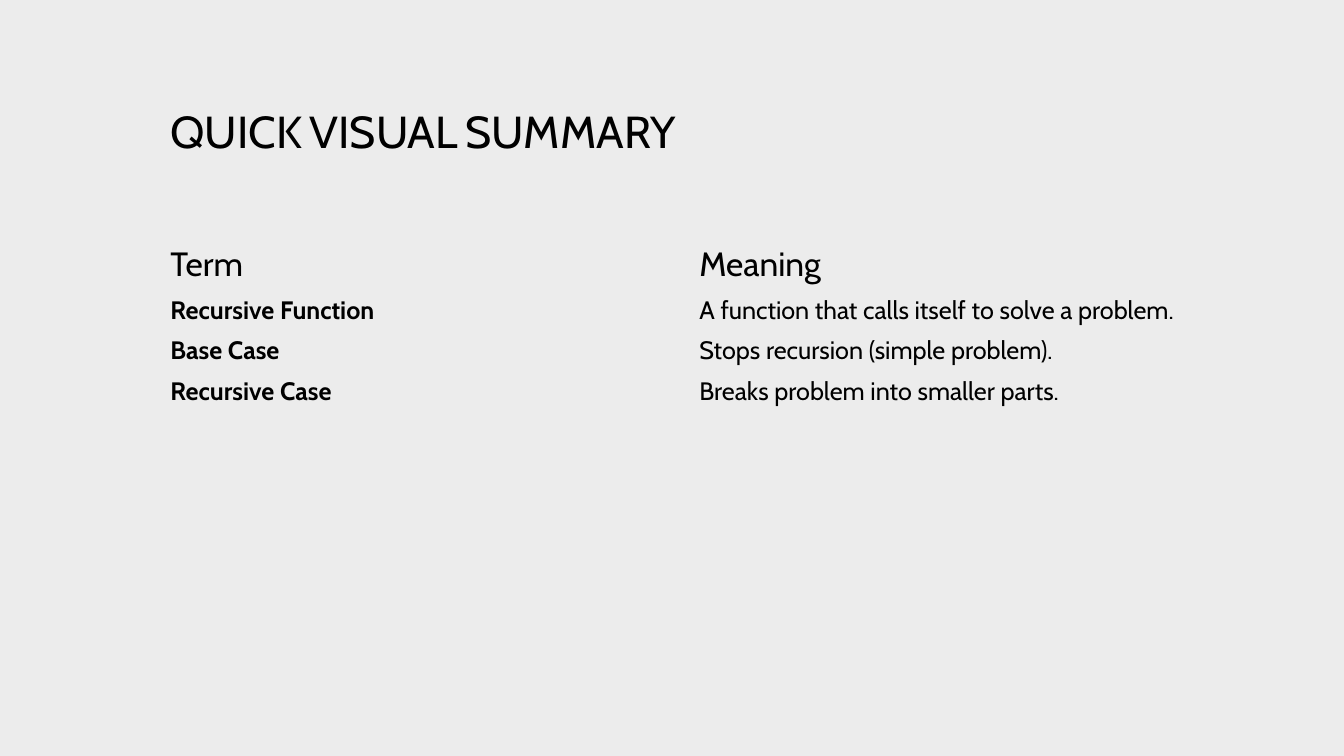
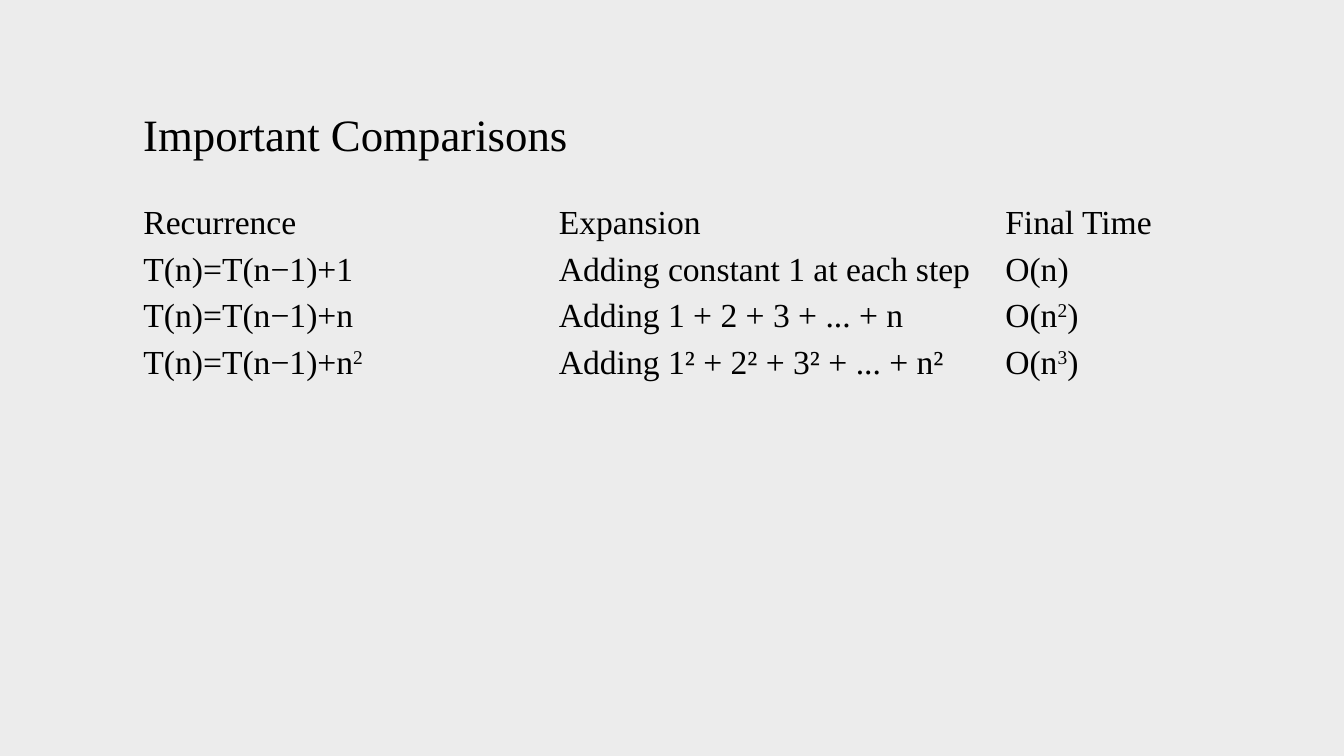
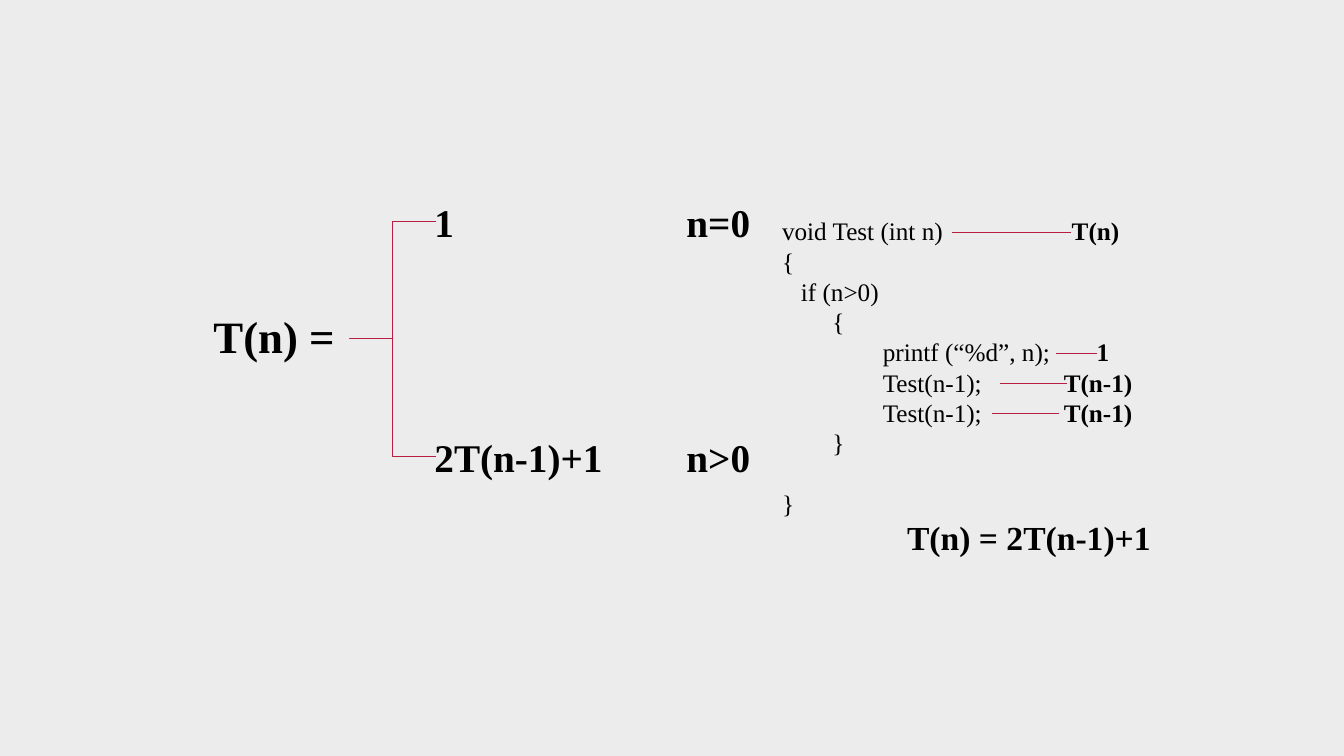
"""Build three slides on recursion: a glossary, a comparison table and a traced function."""
from dataclasses import dataclass

from lxml import etree
from pptx import Presentation
from pptx import util as u
from pptx.dml.color import RGBColor
from pptx.enum import shapes, text
from pptx.oxml.ns import qn


@dataclass(frozen=True)
class Theme:
    paper: RGBColor = RGBColor(0xEC, 0xEC, 0xEC)
    ink: RGBColor = RGBColor(0, 0, 0)
    accent: RGBColor = RGBColor(0xB7, 0x1E, 0x42)
    sans: str = "Cabin"
    serif: str = "Times New Roman"
    title: int = 32
    formula: int = 28
    heading: int = 24
    body: int = 18
    rule: float = 0.75


theme = Theme()


def write(para, spans, face, size, bold=False):
    for words, changes in spans:
        span = para.add_run()
        span.text = words
        span.font.name = face
        span.font.size = u.Pt(changes.get("size", size))
        span.font.bold = changes.get("bold", bold)
        span.font.color.rgb = theme.ink
        if "raised" in changes:
            span._r.get_or_add_rPr().set("baseline", "30000")


def add_box(page, left, top, width, height):
    frame = page.shapes.add_textbox(u.Cm(left), u.Cm(top), u.Cm(width), u.Cm(height)).text_frame
    frame.word_wrap = True
    return frame


deck = Presentation()
deck.slide_width, deck.slide_height = u.Cm(33.87), u.Cm(19.05)
backdrop = deck.slide_master.background.fill
backdrop.solid()
backdrop.fore_color.rgb = theme.paper

gap = (" ", {"size": theme.heading, "bold": True})
square = ("2", {"raised": True})
cube = ("3", {"raised": True})
close = (")", {})

table_pages = [
    {
        "face": theme.sans,
        "title": [("QUICK", {}), gap, ("VISUAL", {}), gap, ("SUMMARY", {})],
        "title_at": (4.04, 2.49),
        "table_at": (4.04, 6.02),
        "widths": [13.33, 13.33],
        "heights": [1.28, 1.02, 1.02, 1.02],
        "size": theme.body,
        "bold_terms": True,
        "inset": 0.13,
        "rows": [
            ["Term", "Meaning"],
            ["Recursive Function", "A function that calls itself to solve a problem."],
            ["Base Case", "Stops recursion (simple problem)."],
            ["Recursive Case", "Breaks problem into smaller parts."],
        ],
    },
    {
        "face": theme.serif,
        "title": [("Important Comparisons", {})],
        "title_at": (3.36, 2.57),
        "table_at": (3.36, 5.03),
        "widths": [10.47, 11.25, 4.87],
        "heights": [1.17] * 4,
        "size": theme.heading,
        "bold_terms": False,
        "inset": 0.08,
        "rows": [
            ["Recurrence", "Expansion", "Final Time"],
            ["T(n)=T(n−1)+1", "Adding constant 1 at each step", "O(n)"],
            ["T(n)=T(n−1)+n", "Adding 1 + 2 + 3 + ... + n", [("O(n", {}), square, close]],
            [[("T(n)=T(n−1)+n", {}), square], "Adding 1² + 2² + 3² + ... + n²",
             [("O(n", {}), cube, close]],
        ],
    },
]

for content in table_pages:
    page = deck.slides.add_slide(deck.slide_layouts[6])
    title = add_box(page, *content["title_at"], 16, 1.63)
    write(title.paragraphs[0], content["title"], content["face"], theme.title)

    widths, heights = content["widths"], content["heights"]
    left, top = content["table_at"]
    table = page.shapes.add_table(len(heights), len(widths), u.Cm(left), u.Cm(top),
                                  u.Cm(sum(widths)), u.Cm(sum(heights))).table
    table.first_row = table.horz_banding = False
    for column, width in zip(table.columns, widths):
        column.width = u.Cm(width)
    for r, (row, height) in enumerate(zip(table.rows, heights)):
        row.height = u.Cm(height)
        for c, cell in enumerate(row.cells):
            for side in ("a:lnL", "a:lnR", "a:lnT", "a:lnB"):
                border = etree.SubElement(cell._tc.get_or_add_tcPr(), qn(side))
                etree.SubElement(border, qn("a:noFill"))
            cell.fill.background()
            cell.vertical_anchor = text.MSO_ANCHOR.MIDDLE
            cell.margin_top = cell.margin_bottom = u.Cm(content["inset"])
            entry = content["rows"][r][c]
            spans = [(entry, {})] if isinstance(entry, str) else entry
            write(cell.text_frame.paragraphs[0], spans, content["face"],
                  content["size"] if r else theme.heading,
                  content["bold_terms"] and r > 0 and c == 0)

page = deck.slides.add_slide(deck.slide_layouts[6])

code_lines = [
    ("void Test (int n)", "T(n)", 7.3),
    ("{", "", 0),
    ("   if (n>0)", "", 0),
    ("\t{", "", 0),
    ("\t\tprintf (“%d”, n);", "1", 7.93),
    ("\t\tTest(n-1);", "T(n-1)", 7.1),
    ("\t\tTest(n-1);", "T(n-1)", 7.1),
    ("\t}", "", 0),
    ("}", "", 0),
    ("", "T(n) = 2T(n-1)+1", 3.15),
]
indents = [1.27, 2.54]
code = add_box(page, 19.46, 5.31, 10.57, 8.97)
for number, (source, cost, cost_at) in enumerate(code_lines):
    para = code.paragraphs[0] if number == 0 else code.add_paragraph()
    stops = indents[:source.count("\t")] + ([cost_at] if cost else [])
    if stops:
        tabs = etree.SubElement(para._p.get_or_add_pPr(), qn("a:tabLst"))
        for stop in stops:
            etree.SubElement(tabs, qn("a:tab"), pos=str(u.Cm(stop)), algn="l")
    para.line_spacing = u.Pt(21.6 if source else 28)
    if source == "}":
        para.space_before = u.Pt(21.6)
    if source:
        write(para, [(source, {})], theme.serif, theme.body)
    if cost:
        write(para, [("\t" + cost, {})], theme.serif,
              theme.body if source else theme.heading, True)

for start, end, level in [(24, 27, 5.87), (26.62, 27.64, 8.91),
                          (25.2, 26.9, 9.67), (24.99, 26.7, 10.42)]:
    rule = page.shapes.add_connector(shapes.MSO_CONNECTOR.STRAIGHT, u.Cm(start), u.Cm(level),
                                     u.Cm(end), u.Cm(level))
    rule.line.color.rgb = theme.accent
    rule.line.width = u.Pt(theme.rule)
    etree.SubElement(rule._element.spPr, qn("a:effectLst"))

brace_top, brace_height = 5.58, 5.92
brace = page.shapes.add_shape(shapes.MSO_SHAPE.LEFT_BRACE, u.Cm(8.81), u.Cm(brace_top),
                              u.Cm(2.18), u.Cm(brace_height))
brace.adjustments[0], brace.adjustments[1] = 0, 0.5
brace.shadow.inherit = False
brace.fill.background()
brace.line.color.rgb = theme.accent
brace.line.width = u.Pt(theme.rule)

case_height = 1.4
for level, case, condition in [(brace_top, "1", "n=0"),
                               (brace_top + brace_height, "2T(n-1)+1", "n>0")]:
    box = add_box(page, 10.7, level - case_height / 2, 8.74, case_height)
    box.vertical_anchor = text.MSO_ANCHOR.MIDDLE
    para = box.paragraphs[0]
    tabs = etree.SubElement(para._p.get_or_add_pPr(), qn("a:tabLst"))
    etree.SubElement(tabs, qn("a:tab"), pos=str(u.Cm(6.35)), algn="l")
    write(para, [(case, {}), ("\t" + condition, {})], theme.serif, theme.formula, True)

subject = add_box(page, 5.13, 7.65, 3.65, 1.63)
write(subject.paragraphs[0], [("T(n) =", {})], theme.serif, theme.title, True)

deck.save("out.pptx")
